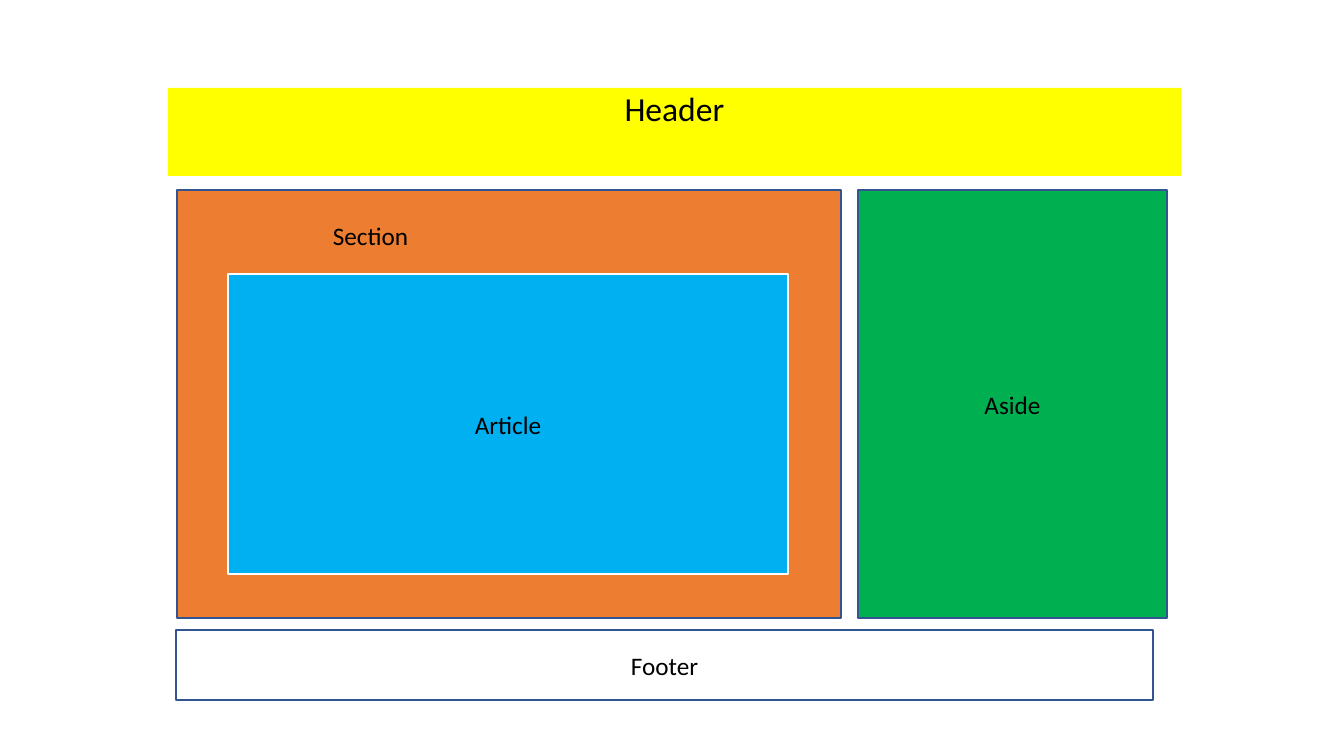
"""Build a slide showing the regions of a semantic HTML page layout."""
from dataclasses import dataclass

from pptx import Presentation
from pptx.dml.color import RGBColor
from pptx.enum.shapes import MSO_SHAPE
from pptx.enum.text import MSO_ANCHOR, PP_ALIGN
from pptx.util import Emu, Pt

HEADER = ("Header", (168, 88, 1013, 88))
SECTION = ("Section", (177, 190, 664, 428))
SECTION_LABEL_BOX = (323, 215, 123, 40)
ASIDE = ("Aside", (858, 190, 309, 428))
FOOTER = ("Footer", (176, 630, 977, 70))
ARTICLE = ("Article", (228, 274, 560, 300))


@dataclass(frozen=True)
class Theme:
    """Hold the colours, font and type sizes of the slide."""
    font: str = "Calibri"
    text: str = "000000"
    header: str = "FFFF00"
    section: str = "ED7D31"
    aside: str = "00B050"
    article: str = "00B0F0"
    white: str = "FFFFFF"
    border: str = "325491"
    title_size: int = 24
    label_size: int = 18


THEME = Theme()
EMU_PER_PX = 914400 / 100.8


def px(length):
    """Turn a length in px into EMU."""
    return Emu(round(length * EMU_PER_PX))


def write_text(shape, text, *, size=THEME.label_size, align=PP_ALIGN.CENTER,
               anchor=MSO_ANCHOR.MIDDLE, line_spacing=None, space_before=None):
    """Write one formatted paragraph into a shape."""
    frame = shape.text_frame
    frame.word_wrap = True
    frame.vertical_anchor = anchor
    paragraph = frame.paragraphs[0]
    paragraph.alignment = align
    paragraph.line_spacing = line_spacing
    paragraph.space_before = space_before
    run = paragraph.add_run()
    run.text = text
    run.font.name = THEME.font
    run.font.size = Pt(size)
    run.font.color.rgb = RGBColor.from_string(THEME.text)


def add_region(slide, box, fill, line=THEME.border, width=1):
    """Add a filled rectangle with an optional border."""
    shape = slide.shapes.add_shape(MSO_SHAPE.RECTANGLE, *map(px, box))
    shape.shadow.inherit = False
    shape.fill.solid()
    shape.fill.fore_color.rgb = RGBColor.from_string(fill)
    if line:
        shape.line.color.rgb = RGBColor.from_string(line)
        shape.line.width = Pt(width)
    else:
        shape.line.fill.background()
    return shape


def main():
    """Compose the page regions and save the presentation."""
    presentation = Presentation()
    presentation.slide_width, presentation.slide_height = px(1344), px(756)
    slide = presentation.slides.add_slide(presentation.slide_layouts[6])

    text, box = HEADER
    write_text(add_region(slide, box, THEME.header, line=None), text,
               size=THEME.title_size, anchor=MSO_ANCHOR.TOP,
               line_spacing=0.9, space_before=Pt(10))

    section_text, section_box = SECTION
    add_region(slide, section_box, THEME.section)
    for (text, box), fill in ((ASIDE, THEME.aside), (FOOTER, THEME.white)):
        write_text(add_region(slide, box, fill), text)

    section_label = slide.shapes.add_textbox(*map(px, SECTION_LABEL_BOX))
    write_text(section_label, section_text, align=PP_ALIGN.LEFT, anchor=MSO_ANCHOR.TOP)

    text, box = ARTICLE
    write_text(add_region(slide, box, THEME.article, line=THEME.white, width=1.5), text)

    presentation.save("out.pptx")


if __name__ == "__main__":
    main()
